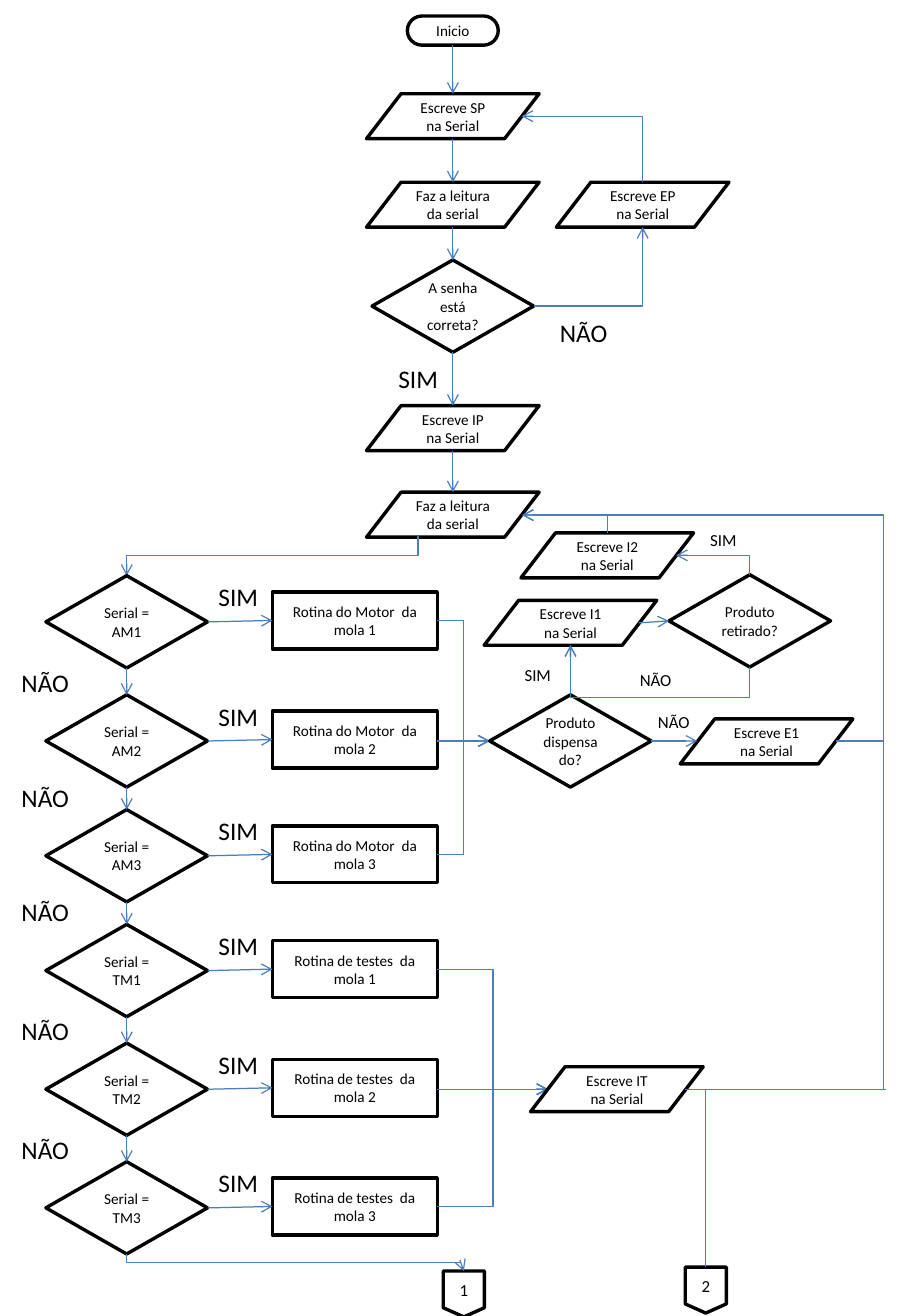
from lxml import etree
from pptx import Presentation
from pptx.dml.color import RGBColor
from pptx.enum.shapes import MSO_CONNECTOR, MSO_SHAPE
from pptx.enum.text import MSO_ANCHOR, MSO_AUTO_SIZE, PP_ALIGN
from pptx.oxml.ns import qn
from pptx.util import Cm, Pt

START = MSO_SHAPE.FLOWCHART_TERMINATOR
DATA = MSO_SHAPE.FLOWCHART_DATA
DECISION = MSO_SHAPE.FLOWCHART_DECISION
PROCESS = MSO_SHAPE.FLOWCHART_PROCESS
PAGE = MSO_SHAPE.FLOWCHART_OFFPAGE_CONNECTOR
STRAIGHT, ELBOW = MSO_CONNECTOR.STRAIGHT, MSO_CONNECTOR.ELBOW
CENTER, LEFT = PP_ALIGN.CENTER, PP_ALIGN.LEFT
MIDDLE = MSO_ANCHOR.MIDDLE
FIT = MSO_AUTO_SIZE.SHAPE_TO_FIT_TEXT

BLACK = RGBColor(0x00, 0x00, 0x00)
WHITE = RGBColor(0xFF, 0xFF, 0xFF)
BLUE = RGBColor(0x4B, 0x7E, 0xBC)
FONT = "Calibri"
SIZES = {START: (1.9, 0.61), DATA: (3.61, 0.94), DECISION: (3.38, 1.93),
         PROCESS: (3.45, 1.19), PAGE: (0.86, 0.96)}
LABEL_SIZES = {("SIM", 15): (1.35, 0.89), ("NÃO", 15): (1.5, 0.89),
               ("SIM", 10): (1.07, 0.69), ("NÃO", 10): (1.19, 0.69)}


def write(tf, text, size, align):
    """Put one formatted run in a text frame."""
    p = tf.paragraphs[0]
    p.alignment = align
    r = p.add_run()
    r.text = text
    r.font.name, r.font.size, r.font.color.rgb = FONT, Pt(size), BLACK


def node(s, box, kind, cx, cy, text):
    """Draw a flowchart symbol centred on a point of the box."""
    w, h = SIZES[kind]
    sp = s.shapes.add_shape(kind, Cm(box[0] + cx - w / 2),
                            Cm(box[1] + cy - h / 2), Cm(w), Cm(h))
    sp.shadow.inherit = False
    sp.fill.solid()
    sp.fill.fore_color.rgb = WHITE
    sp.line.color.rgb, sp.line.width = BLACK, Pt(2)
    tf = sp.text_frame
    tf.word_wrap, tf.vertical_anchor = True, MIDDLE
    write(tf, text, 10 if kind == PAGE else 9, CENTER)


def label(s, box, x, y, text, size=15):
    """Write a branch label at a point of the box."""
    w, h = LABEL_SIZES[text, size]
    tb = s.shapes.add_textbox(Cm(box[0] + x), Cm(box[1] + y), Cm(w), Cm(h))
    tf = tb.text_frame
    tf.word_wrap, tf.auto_size = False, FIT
    write(tf, text, size, LEFT)


def route(s, box, *points, arrow=True):
    """Connect two to four points with a straight or right-angled connector."""
    pts = [(box[0] + x, box[1] + y) for x, y in points]
    (x1, y1), (x2, y2) = pts[0], pts[-1]
    c = s.shapes.add_connector(STRAIGHT if len(pts) == 2 else ELBOW,
                               Cm(x1), Cm(y1), Cm(x2), Cm(y2))
    c.line.color.rgb, c.line.width = BLUE, Pt(0.75)
    props = c._element.spPr
    if arrow:
        etree.SubElement(props.find(qn("a:ln")), qn("a:tailEnd"), type="arrow")
    etree.SubElement(props, qn("a:effectLst"))
    if len(pts) == 2:
        return
    vertical = points[0][0] == points[1][0]
    geometry = props.find(qn("a:prstGeom"))
    if len(pts) == 3:
        geometry.set("prst", "bentConnector2")
    else:
        i = int(vertical)
        share = (pts[1][i] - pts[0][i]) / (pts[-1][i] - pts[0][i])
        etree.SubElement(geometry.find(qn("a:avLst")), qn("a:gd"),
                         name="adj1", fmla=f"val {round(share * 100000)}")
    if vertical:
        w, h = c.width, c.height
        c.left, c.top = c.left + (w - h) // 2, c.top + (h - w) // 2
        c.width, c.height = h, w
        turn = 90 if (x2 - x1) * (y2 - y1) < 0 else 270
        xfrm = props.find(qn("a:xfrm"))
        xfrm.set("rot", str(turn * 60000))
        xfrm.set("flipH", str(int(x2 > x1)))
        xfrm.set("flipV", str(int(y2 < y1)))


def login(s, box):
    """Draw the password check at the top."""
    col, retry = 1.85, 5.82
    steps = [(START, 0.64, "Inicio"), (DATA, 2.43, "Escreve SP na Serial"),
             (DATA, 4.28, "Faz a leitura da serial"),
             (DECISION, 6.4, "A senha está correta?"),
             (DATA, 8.95, "Escreve IP na Serial"),
             (DATA, 10.76, "Faz a leitura da serial")]
    for kind, y, text in steps:
        node(s, box, kind, col, y, text)
    for (kind, y, _), (below, y_below, _) in zip(steps, steps[1:]):
        route(s, box, (col, y + SIZES[kind][1] / 2),
              (col, y_below - SIZES[below][1] / 2))
    node(s, box, DATA, retry, 4.28, "Escreve EP na Serial")
    route(s, box, (col + 1.69, 6.4), (retry, 6.4), (retry, 4.75))
    route(s, box, (retry, 3.81), (retry, 2.43), (col + 1.44, 2.43))
    label(s, box, 3.84, 6.5, "NÃO")
    label(s, box, 0.46, 7.47, "SIM")


def commands(s, box):
    """Draw the ladder of serial commands and their routines."""
    col, routine, edge = 2.45, 7.22, 8.94
    rows = [2, 4.49, 6.89, 9.29, 11.77, 14.25]
    half = SIZES[DECISION][1] / 2
    groups = [("AM", "Rotina do Motor  da mola", 9.5, (10.04, rows[1])),
              ("TM", "Rotina de testes  da mola", 10.11, (11.26, rows[4]))]
    route(s, box, (8.54, 0.2), (8.54, 0.61), (col, 0.61), (col, rows[0] - half))
    for i, y in enumerate(rows):
        code, task, joint, target = groups[i // 3]
        number = i % 3 + 1
        node(s, box, DECISION, col, y, f"Serial = {code}{number}")
        node(s, box, PROCESS, routine, y - 0.03, f"{task} {number}")
        route(s, box, (col + 1.69, y), (routine - 1.72, y - 0.03))
        label(s, box, 4.12, y - half, "SIM")
        if number == 2:
            route(s, box, (edge, y), target)
        else:
            route(s, box, (edge, y - 0.03), (joint, y - 0.03),
                  (joint, target[1]), target)
    for y, below in zip(rows, rows[1:]):
        route(s, box, (col, y + half), (col, below - half))
        label(s, box, 0, below - 1.67, "NÃO")
    node(s, box, PAGE, 9.5, 16.05, "1")
    route(s, box, (col, rows[-1] + half), (col, 15.39), (9.5, 15.39), (9.5, 15.57))


def dispensing(s, box):
    """Draw the checks that follow a motor routine."""
    for kind, x, y, text in [(DECISION, 1.93, 5.49, "Produto dispensado?"),
                             (DATA, 1.93, 3.02, "Escreve I1 na Serial"),
                             (DECISION, 5.68, 2.98, "Produto retirado?"),
                             (DATA, 2.7, 1.61, "Escreve I2 na Serial"),
                             (DATA, 6.03, 5.5, "Escreve E1 na Serial")]:
        node(s, box, kind, x, y, text)
    for points in [[(1.93, 4.53), (1.93, 3.49)],
                   [(3.36, 3.02), (3.99, 2.98)],
                   [(3.62, 5.49), (4.58, 5.49)],
                   [(5.68, 2.02), (5.68, 1.61), (4.14, 1.61)],
                   [(5.68, 3.95), (5.68, 4.58), (1.93, 4.58), (1.93, 3.49)],
                   [(2.7, 1.14), (2.7, 0.77), (0.92, 0.77)],
                   [(7.48, 5.49), (8.47, 5.49), (8.47, 0.77), (0.92, 0.77)]]:
        route(s, box, *points)
    for x, y, text in [(0.72, 3.77, "SIM"), (4.6, 0.95, "SIM"),
                       (3.51, 4.76, "NÃO"), (3.13, 3.87, "NÃO")]:
        label(s, box, x, y, text, 10)


def test_reply(s, box):
    """Draw the reply after a test routine and its way back."""
    node(s, box, DATA, 1.9, 7.77, "Escreve IT na Serial")
    node(s, box, PAGE, 3.76, 11.97, "2")
    route(s, box, (3.33, 7.77), (7.47, 7.77), (7.47, 0.49), (6.48, 0.49),
          arrow=False)
    route(s, box, (3.76, 11.49), (3.76, 7.77), (7.52, 7.77), arrow=False)


prs = Presentation()
prs.slide_width, prs.slide_height = Cm(19.05), Cm(27.51)
s = prs.slides.add_slide(prs.slide_layouts[6])
login(s, (7.62, 0))
commands(s, (0.2, 11))
dispensing(s, (10, 10))
test_reply(s, (11, 15))
prs.save("out.pptx")
